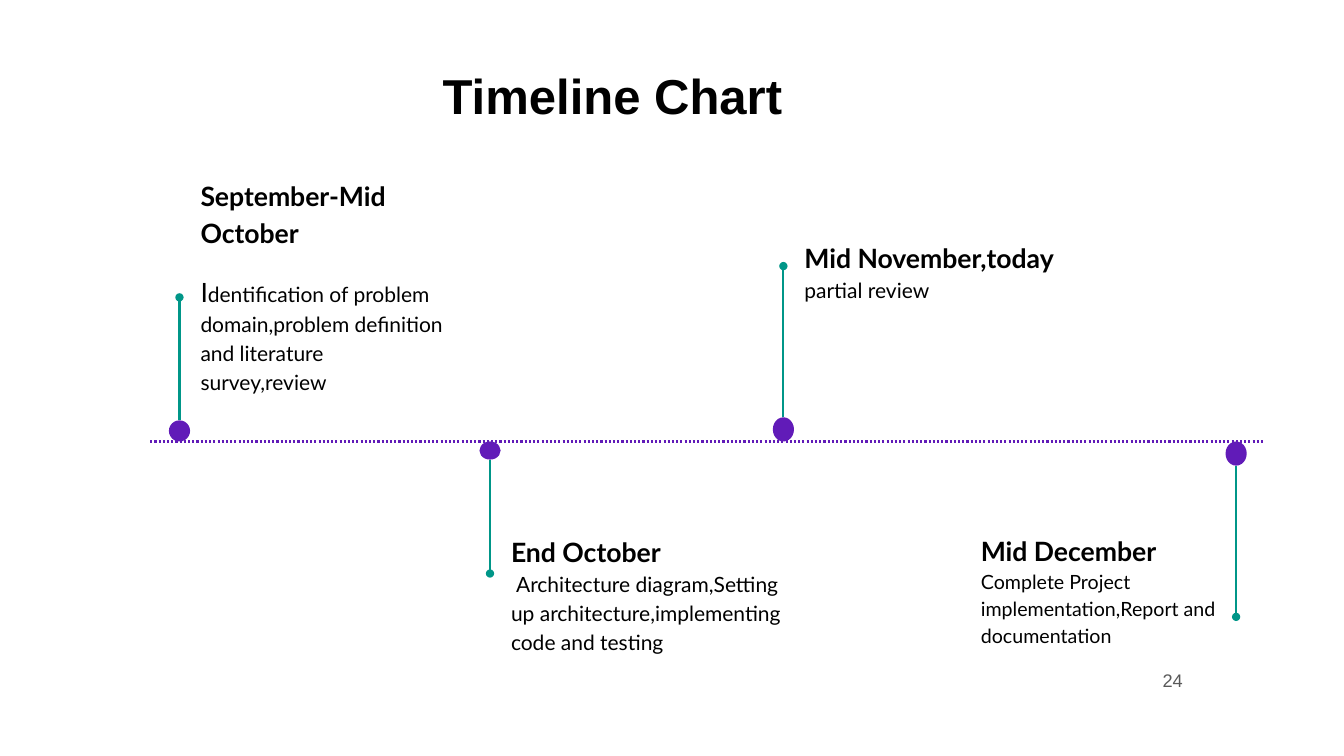
"""Build a timeline slide with four milestones."""
from lxml import etree
from pptx import Presentation
from pptx.dml.color import RGBColor
from pptx.enum.dml import MSO_LINE
from pptx.enum.shapes import MSO_CONNECTOR, MSO_SHAPE
from pptx.enum.text import MSO_ANCHOR, MSO_AUTO_SIZE, PP_ALIGN
from pptx.oxml.ns import qn
from pptx.util import Inches, Pt

STRAIGHT, OVAL, DOT = MSO_CONNECTOR.STRAIGHT, MSO_SHAPE.OVAL, MSO_LINE.ROUND_DOT
TOP, MIDDLE = MSO_ANCHOR.TOP, MSO_ANCHOR.MIDDLE
LEFT, RIGHT = PP_ALIGN.LEFT, PP_ALIGN.RIGHT
NO_FIT = MSO_AUTO_SIZE.NONE
PURPLE, TEAL, BLACK, GRAY = "611BB8", "009688", "000000", "595959"
AXIS_Y, DOT_W = 4.38, 0.21


def style(font, name, size, color, bold=False):
    font.name, font.size, font.bold = name, Pt(size), bold
    font.color.rgb = RGBColor.from_string(color)


def add_line(x1, y1, x2, y2, color):
    line = s.shapes.add_connector(STRAIGHT, Inches(x1), Inches(y1), Inches(x2), Inches(y2))
    line.line.color.rgb = RGBColor.from_string(color)
    line.line.width = Pt(1.5)
    etree.SubElement(line._element.spPr, qn("a:effectLst"))
    return line


prs = Presentation()
prs.slide_width, prs.slide_height = Inches(13.33), Inches(7.5)
s = prs.slides.add_slide(prs.slide_layouts[5])

title = s.shapes.title
title.left, title.top = Inches(1.67), Inches(0.55)
title.width, title.height = Inches(8.32), Inches(0.97)
tf = title.text_frame
tf.text = "Timeline Chart"
tf.auto_size, tf.vertical_anchor = NO_FIT, TOP
tf.margin_left, tf.margin_top = Inches(2.72), Inches(0.1)
p = tf.paragraphs[0]
p.alignment = LEFT
style(p.runs[0].font, "Arial", 35, BLACK, True)

add_line(1.49, AXIS_Y, 12.54, AXIS_Y, PURPLE).line.dash_style = DOT

# x, dot top, dot height, stem start, stem end, text box, size, gap, indent, heading, body
milestones = [
    (1.78, 4.17, 0.21, 4.17, 2.95, (1.89, 1.64, 2.71, 2.28), 15, 16, 0, "September-Mid October",
     ["I", "dentification of problem domain,problem definition and literature survey,review"]),
    (4.86, 4.38, 0.18, 4.56, 5.69, (4.97, 5.17, 2.91, 1.54), 15, 0, 0.05, "End October",
     ["Architecture diagram,Setting up architecture,implementing code and testing"]),
    (7.77, 4.14, 0.24, 4.14, 2.64, (7.88, 2.25, 2.91, 1.06), 15, 0, 0, "Mid November,today",
     ["partial review"]),
    (12.26, 4.38, 0.24, 4.62, 6.12, (9.63, 5.16, 2.91, 1.74), 14, 0, 0, "Mid December",
     ["Complete Project implementation,Report and documentation"]),
]
for x, top, height, start, end, box, size, gap, indent, heading, body in milestones:
    stem = add_line(x, start, x, end, TEAL)
    etree.SubElement(stem.line._get_or_add_ln(), qn("a:tailEnd"), type="oval")

    sp = s.shapes.add_shape(OVAL, Inches(x - DOT_W / 2), Inches(top), Inches(DOT_W), Inches(height))
    sp.shadow.inherit = False
    sp.fill.solid()
    sp.fill.fore_color.rgb = RGBColor.from_string(PURPLE)
    sp.line.fill.background()

    tf = s.shapes.add_textbox(*map(Inches, box)).text_frame
    tf.word_wrap = True
    tf.margin_left = tf.margin_right = tf.margin_top = tf.margin_bottom = Inches(0.1)
    p = tf.paragraphs[0]
    p.text = heading
    p.line_spacing = 1.15
    style(p.runs[0].font, "Lato", 19, BLACK, True)

    p = tf.add_paragraph()
    p.line_spacing, p.space_before = 1.15, Pt(gap)
    p._p.get_or_add_pPr().set("indent", str(Inches(indent)))
    for text in body:
        r = p.add_run()
        r.text = text
        style(r.font, "Lato", 19 if text == "I" else size, BLACK)

tf = s.shapes.add_textbox(Inches(8.83), Inches(6.55), Inches(3), Inches(0.4)).text_frame
tf.text = "24"
tf.word_wrap, tf.vertical_anchor = True, MIDDLE
p = tf.paragraphs[0]
p.alignment = RIGHT
style(p.runs[0].font, "Arial", 13, GRAY)

prs.save("out.pptx")
